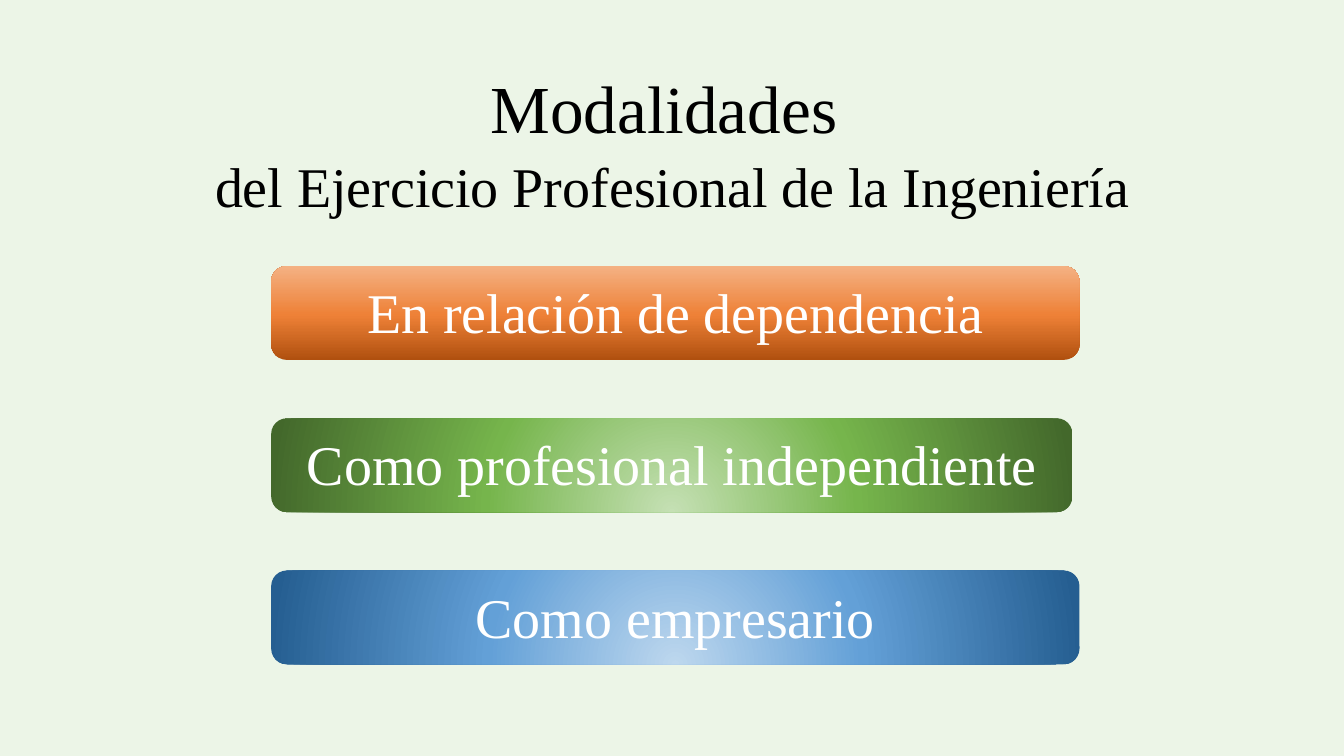
from dataclasses import dataclass

from lxml import etree
from pptx import Presentation
from pptx.dml.color import RGBColor
from pptx.enum.shapes import MSO_SHAPE as Preset
from pptx.enum.text import MSO_ANCHOR as Anchor, PP_ALIGN as Align
from pptx.oxml import parse_xml
from pptx.oxml.ns import nsdecls, qn
from pptx.slide import Slide
from pptx.text.text import _Paragraph as Paragraph
from pptx.util import Pt

FONT = "Times New Roman"
COLORS = {"background": "ECF5E7", "title": "000000", "label": "FFFFFF"}
LINEAR = '<a:lin ang="16200000" scaled="0"/>'
RADIAL = ('<a:path path="circle">'
          '<a:fillToRect l="50000" t="130000" r="50000" b="-30000"/></a:path>')

BAR_LEFT, BAR_TOP, BAR_HEIGHT, BAR_PITCH = 193.7, 190.1, 67, 108.7


@dataclass
class Modality:
    label: str
    width: float
    stops: dict[int, str]
    direction: str


MODALITIES = [
    Modality("En relación de dependencia", 577.4,
             {0: "B0500F", 48: "EE8137", 100: "F4B183"}, LINEAR),
    Modality("Como profesional independiente", 572.4,
             {0: "C5E0B4", 46: "76B54C", 100: "43682B"}, RADIAL),
    Modality("Como empresario", 577.4,
             {0: "BDD7EE", 46: "63A0D7", 100: "255E91"}, RADIAL),
]


def gradient_fill(stops: dict[int, str], direction: str) -> etree._Element:
    stop_xml = "".join(
        f'<a:gs pos="{percent * 1000}"><a:srgbClr val="{color}"/></a:gs>'
        for percent, color in stops.items())
    return parse_xml(f'<a:gradFill {nsdecls("a")} rotWithShape="1">'
                     f"<a:gsLst>{stop_xml}</a:gsLst>{direction}</a:gradFill>")


def write_line(line: Paragraph, text: str, size: float, color: str) -> None:
    line.text = text
    line.alignment = Align.CENTER
    line.font.name = FONT
    line.font.size = Pt(size)
    line.font.color.rgb = RGBColor.from_string(COLORS[color])


def add_title(slide: Slide) -> None:
    frame = slide.shapes.add_textbox(Pt(56.2), Pt(39.6), Pt(848.2), Pt(113.8)).text_frame
    frame.word_wrap = True
    heading, subheading = frame.paragraphs[0], frame.add_paragraph()
    write_line(heading, "Modalidades ", 48, "title")
    write_line(subheading, "del Ejercicio Profesional de la Ingeniería", 40, "title")
    heading.line_spacing = subheading.line_spacing = 1.07


def add_bar(slide: Slide, modality: Modality, top: float) -> None:
    bar = slide.shapes.add_shape(Preset.ROUNDED_RECTANGLE, Pt(BAR_LEFT), Pt(top),
                                 Pt(modality.width), Pt(BAR_HEIGHT))
    bar.shadow.inherit = False
    bar.line.fill.background()
    outline = bar._element.spPr.find(qn("a:ln"))
    outline.addprevious(gradient_fill(modality.stops, modality.direction))
    frame = bar.text_frame
    frame.word_wrap = True
    frame.vertical_anchor = Anchor.MIDDLE
    frame.margin_bottom = Pt(6)
    write_line(frame.paragraphs[0], modality.label, 40, "label")


def main() -> None:
    deck = Presentation()
    deck.slide_width, deck.slide_height = Pt(960), Pt(540)
    slide = deck.slides.add_slide(deck.slide_layouts[6])
    backdrop = slide.background.fill
    backdrop.solid()
    backdrop.fore_color.rgb = RGBColor.from_string(COLORS["background"])
    add_title(slide)
    for row, modality in enumerate(MODALITIES):
        add_bar(slide, modality, BAR_TOP + row * BAR_PITCH)
    deck.save("out.pptx")


if __name__ == "__main__":
    main()
